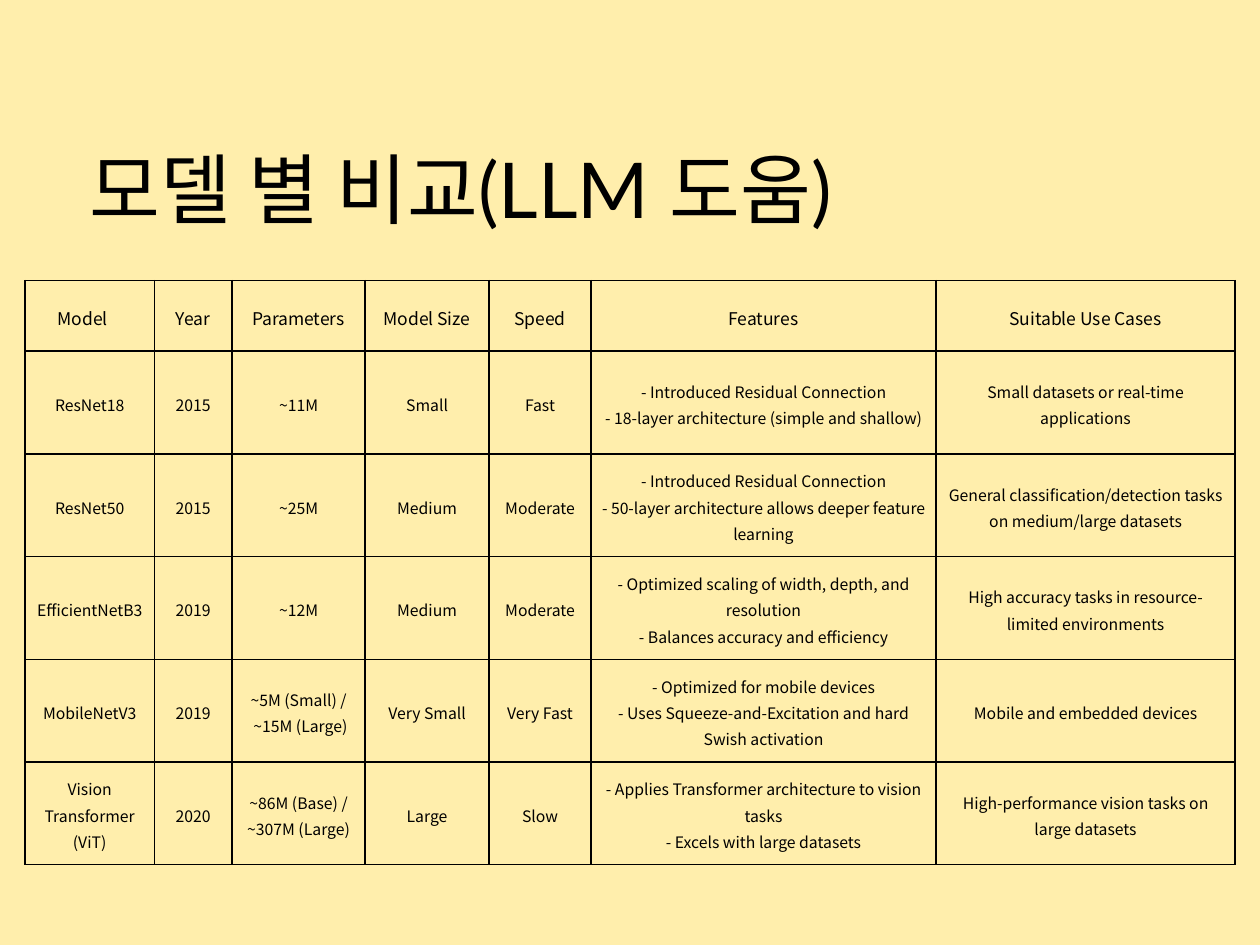
from dataclasses import dataclass

from lxml.etree import SubElement
from pptx import Presentation
from pptx.dml.color import RGBColor
from pptx.enum.text import MSO_ANCHOR, PP_ALIGN
from pptx.oxml.ns import qn
from pptx.util import Pt


@dataclass(frozen=True)
class Theme:
    """Colours, fonts and type sizes of the slide."""
    background: str = "FFEEAC"
    ink: str = "000000"
    title_font: str = "Lato"
    table_font: str = "Noto Sans CJK KR"
    title_size: float = 44
    header_size: float = 10
    body_size: float = 9
    border: float = 1


THEME = Theme()
TITLE = "모델 별 비교(LLM 도움)"
COLUMN_WIDTHS = [73.9, 44.4, 76, 70.9, 58.2, 197.2, 170.9]
HEADER_HEIGHT = 40.4
ROW_HEIGHT = 58.7
SIDE_INSET = 4.5
MODEL_HEADER_INSET = 12.5
MODELS = [
    ["Model", "Year", "Parameters", "Model Size", "Speed", "Features", "Suitable Use Cases"],
    ["ResNet18", "2015", "~11M", "Small", "Fast",
     "- Introduced Residual Connection\n- 18-layer architecture (simple and shallow)",
     "Small datasets or real-time applications"],
    ["ResNet50", "2015", "~25M", "Medium", "Moderate",
     "- Introduced Residual Connection\n- 50-layer architecture allows deeper feature learning",
     "General classification/detection tasks on medium/large datasets"],
    ["EfficientNetB3", "2019", "~12M", "Medium", "Moderate",
     "- Optimized scaling of width, depth, and resolution\n- Balances accuracy and efficiency",
     "High accuracy tasks in resource-limited environments"],
    ["MobileNetV3", "2019", "~5M (Small) /\n ~15M (Large)", "Very Small", "Very Fast",
     "- Optimized for mobile devices\n- Uses Squeeze-and-Excitation and hard Swish activation",
     "Mobile and embedded devices"],
    ["Vision Transformer (ViT)", "2020", "~86M (Base) / ~307M (Large)", "Large", "Slow",
     "- Applies Transformer architecture to vision tasks\n- Excels with large datasets",
     "High-performance vision tasks on large datasets"],
]


def add_span(para, text, font_name, size):
    """Add one styled run to a paragraph."""
    span = para.add_run()
    span.text = text
    span.font.name = font_name
    span.font.size = Pt(size)
    span.font.color.rgb = RGBColor.from_string(THEME.ink)


def add_title(page):
    """Add the bottom-anchored title."""
    box = page.shapes.add_textbox(Pt(44), Pt(34), Pt(620.5), Pt(104))
    frame = box.text_frame
    frame.word_wrap = True
    frame.vertical_anchor = MSO_ANCHOR.BOTTOM
    para = frame.paragraphs[0]
    para.line_spacing = 0.9
    add_span(para, TITLE, THEME.title_font, THEME.title_size)


def add_borders(cell):
    """Draw a solid line on all four sides of a cell."""
    properties = cell._tc.get_or_add_tcPr()
    for side in ("a:lnL", "a:lnR", "a:lnT", "a:lnB"):
        line = SubElement(properties, qn(side), w=str(Pt(THEME.border)))
        fill = SubElement(line, qn("a:solidFill"))
        SubElement(fill, qn("a:srgbClr"), val=THEME.ink)


def fill_cell(cell, text, size):
    """Write centred text in a bordered, unfilled cell."""
    add_borders(cell)
    cell.fill.background()
    cell.vertical_anchor = MSO_ANCHOR.MIDDLE
    cell.margin_left = cell.margin_right = Pt(SIDE_INSET)
    cell.margin_top = Pt(0.5)
    cell.margin_bottom = Pt(0)
    para = cell.text_frame.paragraphs[0]
    para.alignment = PP_ALIGN.CENTER
    para.line_spacing = 1.15
    para.space_after = Pt(10)
    for index, line in enumerate(text.split("\n")):
        if index:
            para.add_line_break()
        add_span(para, line, THEME.table_font, size)


def add_model_table(page):
    """Add the comparison table of models."""
    heights = [HEADER_HEIGHT] + [ROW_HEIGHT] * (len(MODELS) - 1)
    table = page.shapes.add_table(
        len(MODELS), len(COLUMN_WIDTHS), Pt(14.3), Pt(160.3),
        Pt(sum(COLUMN_WIDTHS)), Pt(sum(heights))).table
    table.first_row = table.horz_banding = False
    for column, width in zip(table.columns, COLUMN_WIDTHS):
        column.width = Pt(width)
    for index, (row, height, texts) in enumerate(zip(table.rows, heights, MODELS)):
        row.height = Pt(height)
        size = THEME.body_size if index else THEME.header_size
        for cell, text in zip(row.cells, texts):
            fill_cell(cell, text, size)
    table.cell(0, 0).margin_right = Pt(MODEL_HEADER_INSET)


def main():
    """Build and save the deck."""
    deck = Presentation()
    deck.slide_width, deck.slide_height = Pt(720), Pt(540)
    page = deck.slides.add_slide(deck.slide_layouts[6])
    page.background.fill.solid()
    page.background.fill.fore_color.rgb = RGBColor.from_string(THEME.background)
    add_title(page)
    add_model_table(page)
    deck.save("out.pptx")


if __name__ == "__main__":
    main()
